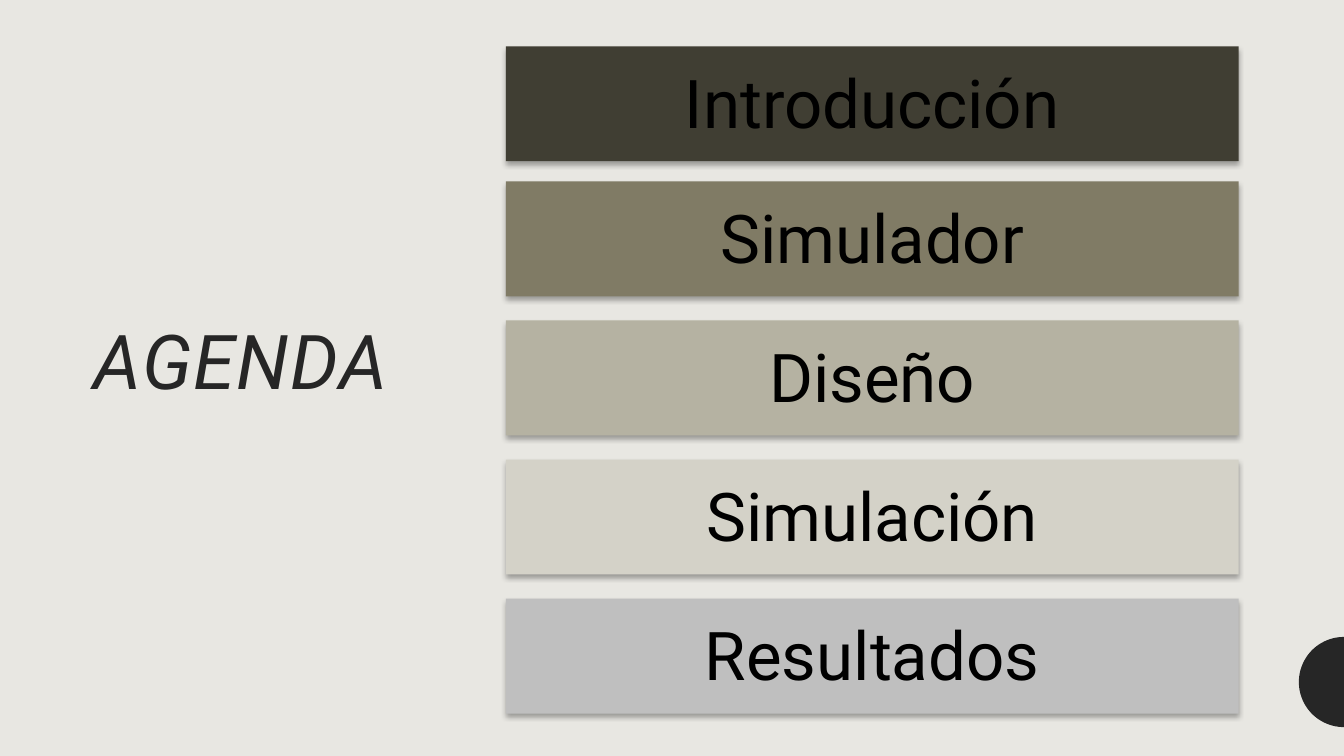
import math

from lxml import etree
from pptx import Presentation
from pptx.dml.color import RGBColor
from pptx.enum import shapes, text
from pptx.oxml import ns
from pptx.util import Pt

FONT = "Roboto"
DARK = "262626"
TOPICS = [
    ("Introducción", "403E33"),
    ("Simulador", "807B65"),
    ("Diseño", "B5B2A2"),
    ("Simulación", "D4D2C8"),
    ("Resultados", "BFBFBF"),
]


def color(hex_string):
    return RGBColor.from_string(hex_string)


def paint(shape, hex_string):
    shape.shadow.inherit = False
    shape.fill.solid()
    shape.fill.fore_color.rgb = color(hex_string)
    shape.line.fill.background()


def add_soft_shadow(shape):
    effects = shape._element.spPr.find(ns.qn("a:effectLst"))
    shadow = etree.SubElement(
        effects, ns.qn("a:outerShdw"), blurRad=str(Pt(3.5)), dist=str(Pt(2.2)),
        dir="5400000", algn="ctr", rotWithShape="0")
    black = etree.SubElement(shadow, ns.qn("a:srgbClr"), val="000000")
    etree.SubElement(black, ns.qn("a:alpha"), val="32000")


def write(shape, wording, size, hex_string, align):
    frame = shape.text_frame
    frame.word_wrap = True
    frame.vertical_anchor = text.MSO_ANCHOR.MIDDLE
    frame.text = wording
    paragraph = frame.paragraphs[0]
    paragraph.alignment = align
    paragraph.line_spacing = 0.9
    run = paragraph.runs[0]
    run.font.name = FONT
    run.font.size = Pt(size)
    run.font.color.rgb = color(hex_string)
    return run


def add_edge_disc(slide, left, top, radius):
    """Left half of a disc, cut off by the slide edge."""
    steps = 48
    angles = [math.pi * (0.5 + step / steps) for step in range(steps + 1)]
    points = [(Pt(left + radius * (1 + math.cos(angle))),
               Pt(top + radius * (1 + math.sin(angle)))) for angle in angles]
    builder = slide.shapes.build_freeform(*points[0])
    builder.add_line_segments(points[1:], close=True)
    paint(builder.convert_to_shape(), DARK)


def add_title(slide, left, top, width, height):
    box = slide.shapes.add_textbox(Pt(left), Pt(top), Pt(width), Pt(height))
    run = write(box, "AGENDA", 54, DARK, text.PP_ALIGN.LEFT)
    run.font.italic = True
    run._r.get_or_add_rPr().set("spc", "100")


def add_topics(slide, left, top, width, height):
    """Bars of equal height; the gap after the first is slightly smaller."""
    bar_height, pitch, first_pitch = 82.1, 99.36, 96.5
    for index, (topic, fill) in enumerate(TOPICS):
        offset = first_pitch + (index - 1) * pitch if index else 0
        bar = slide.shapes.add_shape(
            shapes.MSO_SHAPE.RECTANGLE,
            Pt(left), Pt(top + offset), Pt(width), Pt(bar_height))
        paint(bar, fill)
        add_soft_shadow(bar)
        write(bar, topic, 48, "000000", text.PP_ALIGN.CENTER)
        frame = bar.text_frame
        frame.margin_left = frame.margin_right = frame.margin_bottom = Pt(9.4)
        frame.margin_top = Pt(13.6)


def main():
    presentation = Presentation()
    presentation.slide_width = Pt(960)
    presentation.slide_height = Pt(540)
    slide = presentation.slides.add_slide(presentation.slide_layouts[6])

    # Background
    slide.background.fill.solid()
    slide.background.fill.fore_color.rgb = color("E8E7E2")

    # Regions
    add_edge_disc(slide, 927.8, 455, 32.2)
    add_title(slide, 59.8, 226.1, 301.7, 69.1)
    add_topics(slide, 361.4, 33.1, 523.4, 476.7)

    presentation.save("out.pptx")


if __name__ == "__main__":
    main()
